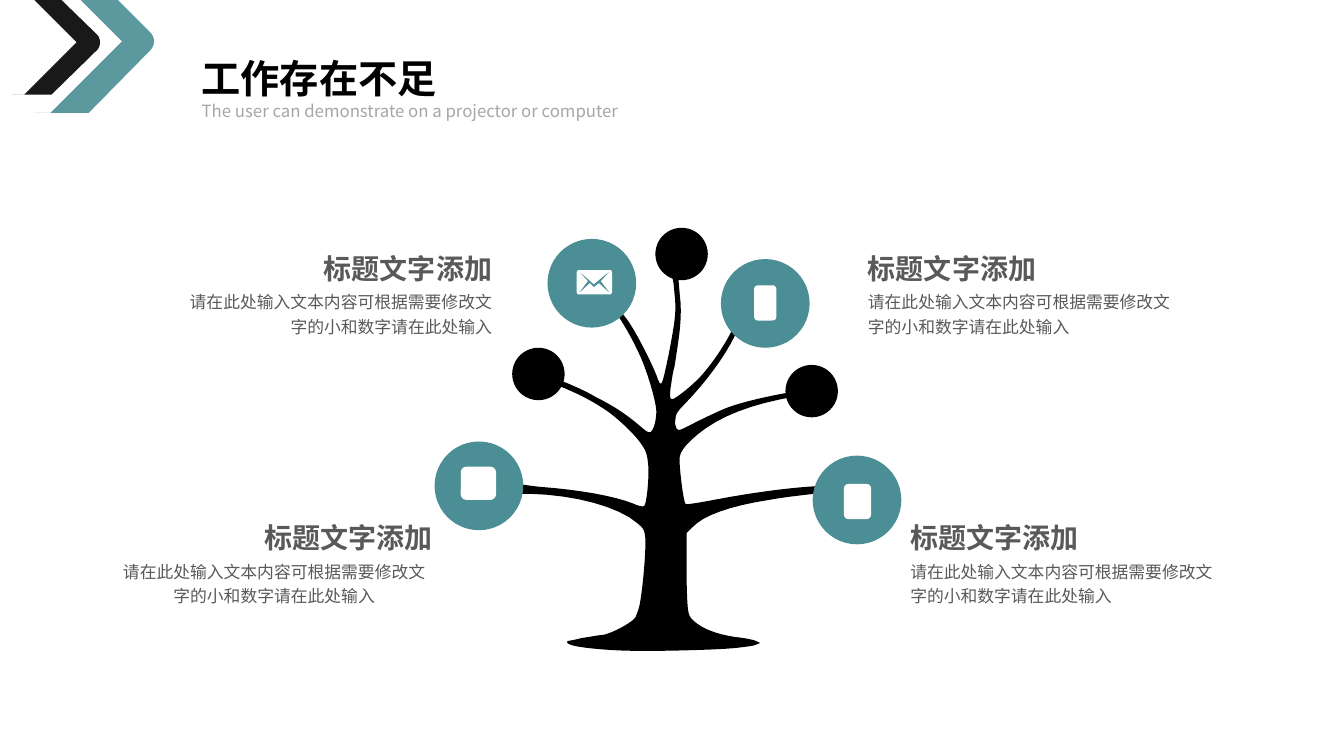
"""Build a slide with a tree diagram and four captions."""
from typing import NamedTuple

from lxml import etree
from pptx import Presentation
from pptx.dml.color import RGBColor
from pptx.enum.shapes import MSO_SHAPE
from pptx.enum.text import MSO_ANCHOR, MSO_AUTO_SIZE, PP_ALIGN
from pptx.oxml.ns import qn
from pptx.util import Inches, Pt

OVAL, ROUNDED = MSO_SHAPE.OVAL, MSO_SHAPE.ROUNDED_RECTANGLE
LEFT, CENTER, RIGHT = PP_ALIGN.LEFT, PP_ALIGN.CENTER, PP_ALIGN.RIGHT
JUSTIFY = PP_ALIGN.JUSTIFY
TOP, FIT_SHAPE = MSO_ANCHOR.TOP, MSO_AUTO_SIZE.SHAPE_TO_FIT_TEXT

FONT = "Noto Sans CJK JP"
TEAL, BLACK, WHITE, GRAY, LIGHT_GRAY = "4B8E95", "000000", "FFFFFF", "595959", "A6A6A6"
CURVE_STEPS = 8
HEADING = "标题文字添加"
BODY = "请在此处输入文本内容可根据需要修改文字的小和数字请在此处输入"
BODY_OFFSET = 0.43


class Box(NamedTuple):
    """Position and size in inches."""
    left: float
    top: float
    width: float
    height: float


class Preset(NamedTuple):
    """A filled preset shape."""
    kind: MSO_SHAPE
    box: Box
    color: str


class Outline(NamedTuple):
    """A filled freeform with one path string per contour."""
    contours: list[str]
    color: str
    opacity: int = 100


class TextStyle(NamedTuple):
    """Font and paragraph settings."""
    size: int
    color: str
    bold: bool = False
    align: PP_ALIGN = LEFT
    spacing: float = 1.0


class Caption(NamedTuple):
    """A heading above a body text."""
    heading_left: float
    body_left: float
    top: float
    heading_align: PP_ALIGN
    body_align: PP_ALIGN


UPPER_LEFT_BRANCHES = """6.64 2.71, 6.67 2.73 6.68 2.78 6.69 2.91, 6.71 3.08 6.7 3.17 6.63 3.53,
6.56 3.86 6.56 3.86 6.51 3.72, 6.44 3.55 6.3 3.28 6.22 3.17, 6.17 3.11 6.13 3.05 6.12 3.02,
6.08 3.07, 6.12 3.1 6.25 3.32 6.32 3.47, 6.41 3.64 6.51 3.99 6.51 4.08,
6.51 4.16 6.49 4.25 6.46 4.28, 6.44 4.3 6.42 4.29 6.34 4.22, 6.21 4.11 6.09 4.03 5.91 3.94,
5.78 3.86 5.51 3.75 5.43 3.73, 5.39 3.72 5.37 3.71 5.36 3.7"""
LOWER_LEFT_BRANCHES = """5.34 3.77,
5.43 3.77 5.79 3.92 5.98 4.05, 6.11 4.13 6.31 4.32 6.37 4.42, 6.41 4.48 6.42 4.51 6.43 4.62,
6.44 4.76 6.41 5.01 6.39 5.02, 6.38 5.03 6.33 5.02 6.29 5, 6.09 4.92 5.75 4.86 5.35 4.83,
5.26 4.82 5.19 4.81 5.14 4.8, 5.14 4.9, 5.26 4.9, 5.7 4.91 6.14 5.03 6.32 5.19"""
TRUNK = """6.38 5.24 6.39 5.25 6.4 5.33, 6.41 5.43 6.38 5.8 6.35 5.97, 6.34 6.04 6.31 6.11 6.3 6.13,
6.26 6.18 6.08 6.28 5.98 6.3, 5.94 6.3 5.85 6.32 5.77 6.33, 5.7 6.35 5.63 6.36 5.63 6.36,
5.59 6.4 5.76 6.43 6.07 6.45, 6.33 6.47 7.08 6.45 7.29 6.43, 7.37 6.42 7.47 6.41 7.49 6.4,
7.54 6.38, 7.5 6.36, 7.48 6.35 7.39 6.33 7.29 6.32, 7.1 6.29 6.97 6.24 6.88 6.16,
6.84 6.12 6.83 6.11 6.82 6.01, 6.81 5.85 6.81 5.73 6.81 5.49, 6.81 5.29, 6.87 5.23"""
LOWER_RIGHT_BRANCHES = """6.97 5.12 7.23 5.02 7.63 4.96, 7.84 4.92 8.33 4.87 8.36 4.88, 8.37 4.89,
8.36 4.78, 8.35 4.81, 8.34 4.81 8.28 4.82 8.22 4.82, 7.97 4.82 7.49 4.88 7.08 4.96,
6.92 4.99 6.8 5.01 6.8 5, 6.78 4.99 6.74 4.66 6.74 4.56, 6.74 4.49 6.78 4.43 6.92 4.31,
7.14 4.13 7.44 4.01 7.91 3.93, 8.09 3.9, 8.06 3.85, 8.04 3.86 7.95 3.88 7.85 3.89"""
UPPER_RIGHT_BRANCHES = """7.62 3.93 7.35 3.99 7.2 4.05, 7.15 4.07 7.02 4.13 6.92 4.18,
6.74 4.27 6.74 4.28 6.71 4.25, 6.7 4.22 6.69 4.2 6.7 4.16, 6.7 4.11 6.72 4.08 6.8 4,
7.01 3.78 7.18 3.55 7.29 3.33, 7.33 3.26, 7.28 3.23, 7.24 3.34 7.1 3.56 6.98 3.7,
6.9 3.8 6.7 3.96 6.67 3.96, 6.65 3.96 6.64 3.95 6.65 3.86, 6.66 3.8 6.67 3.7 6.69 3.64,
6.74 3.32 6.76 3.19 6.75 3, 6.74 2.9 6.73 2.79 6.73 2.76, 6.72 2.71"""
TREE = ",".join([UPPER_LEFT_BRANCHES, LOWER_LEFT_BRANCHES, TRUNK,
                 LOWER_RIGHT_BRANCHES, UPPER_RIGHT_BRANCHES])
ENVELOPE = [
    "5.96 2.79, 6.06 2.68, 6.07 2.7, 6.07 2.9, 6.06 2.92",
    "5.73 2.68, 6.06 2.68, 5.89 2.82",
    "5.73 2.92, 5.72 2.9, 5.72 2.7, 5.73 2.68, 5.83 2.79",
    "5.89 2.85, 5.94 2.81, 6.06 2.92, 5.73 2.92, 5.85 2.81",
]
TEAL_CHEVRON = """0.34 1.12, 0.88 1.12, 1.49 0.5, 1.54 0.45 1.54 0.37 1.49 0.32,
1.17 0, 0.8 0, 1.21 0.41, 0.5 1.12"""
BLACK_CHEVRON = """0.12 0.94, 0.51 0.94, 0.97 0.49, 1 0.45 1 0.39 0.97 0.35,
0.61 0, 0.34 0, 0.76 0.42, 0.24 0.94"""

OUTLINES = [
    Outline([TREE], BLACK),
    Outline([TEAL_CHEVRON], TEAL, 90),
    Outline([BLACK_CHEVRON], BLACK, 90),
]
BUDS = [Preset(OVAL, Box(left, top, 0.52, 0.52), BLACK)
        for left, top in [(6.5, 2.26), (5.08, 3.45), (7.79, 3.62)]]
FRUITS = [Preset(OVAL, Box(left, top, 0.88, 0.88), TEAL)
          for left, top in [(5.43, 2.37), (7.15, 2.57), (4.31, 4.38), (8.06, 4.52)]]
ICONS = [Preset(ROUNDED, box, WHITE) for box in [
    Box(7.48, 2.83, 0.22, 0.35), Box(4.57, 4.63, 0.35, 0.33), Box(8.37, 4.8, 0.27, 0.35)]]
CAPTIONS = [
    Caption(2.74, 1.62, 2.38, RIGHT, RIGHT),
    Caption(8.51, 8.51, 2.38, JUSTIFY, LEFT),
    Caption(2.15, 1.04, 5.05, RIGHT, CENTER),
    Caption(8.93, 8.93, 5.05, JUSTIFY, LEFT),
]


def rgb(color: str) -> RGBColor:
    """Turn a hex string into a colour."""
    return RGBColor.from_string(color)


def apply(target, **values) -> None:
    """Set each named attribute on the target."""
    for name, value in values.items():
        setattr(target, name, value)


def trace(contour: str) -> list[tuple[int, int]]:
    """Turn lines and cubic curves into points on the slide."""
    points = []
    for segment in contour.split(","):
        numbers = [float(number) for number in segment.split()]
        pairs = list(zip(numbers[::2], numbers[1::2]))
        if len(pairs) == 1:
            points += pairs
            continue
        controls = [points[-1], *pairs]
        for step in range(1, CURVE_STEPS + 1):
            t = step / CURVE_STEPS
            weights = ((1 - t) ** 3, 3 * t * (1 - t) ** 2, 3 * t * t * (1 - t), t ** 3)
            points.append(tuple(sum(weight * control[axis] for weight, control
                                    in zip(weights, controls)) for axis in (0, 1)))
    return [(Inches(x), Inches(y)) for x, y in points]


def paint(shape, color: str) -> None:
    """Fill a shape and remove its line and shadow."""
    shape.shadow.inherit = False
    shape.fill.solid()
    shape.fill.fore_color.rgb = rgb(color)
    shape.line.fill.background()


def draw_preset(slide, preset: Preset) -> None:
    """Add a preset shape."""
    paint(slide.shapes.add_shape(preset.kind, *map(Inches, preset.box)), preset.color)


def draw_outline(slide, outline: Outline) -> None:
    """Add a freeform made of closed contours."""
    first, *others = [trace(contour) for contour in outline.contours]
    builder = slide.shapes.build_freeform(*first[0], scale=1.0)
    builder.add_line_segments(first[1:], close=True)
    for points in others:
        builder.move_to(*points[0])
        builder.add_line_segments(points[1:], close=True)
    shape = builder.convert_to_shape()
    paint(shape, outline.color)
    if outline.opacity < 100:
        color = shape.element.spPr.find(qn("a:solidFill"))[0]
        etree.SubElement(color, qn("a:alpha"), val=str(outline.opacity * 1000))


def write(shape, box: Box, text: str, style: TextStyle, wrap: bool = True) -> None:
    """Place a text shape and format its single paragraph."""
    left, top, width, height = map(Inches, box)
    apply(shape, left=left, top=top, width=width, height=height)
    apply(shape.text_frame, word_wrap=wrap, auto_size=FIT_SHAPE, vertical_anchor=TOP)
    paragraph = shape.text_frame.paragraphs[0]
    apply(paragraph, alignment=style.align, line_spacing=style.spacing, space_before=Pt(0))
    run = paragraph.add_run()
    run.text = text
    apply(run.font, name=FONT, size=Pt(style.size), bold=style.bold)
    run.font.color.rgb = rgb(style.color)
    etree.SubElement(run.font._element, qn("a:ea"), typeface=FONT)


def draw_caption(slide, caption: Caption) -> None:
    """Add a heading and the body below it."""
    heading_box = Box(caption.heading_left, caption.top, 2.24, 0.48)
    body_box = Box(caption.body_left, caption.top + BODY_OFFSET, 3.36, 0.59)
    heading_style = TextStyle(20, GRAY, True, caption.heading_align, 1.2)
    body_style = TextStyle(12, GRAY, False, caption.body_align, 1.2)
    for box, text, style in [(heading_box, HEADING, heading_style), (body_box, BODY, body_style)]:
        write(slide.shapes.add_textbox(*map(Inches, box)), box, text, style)


def main() -> None:
    """Build and save the presentation."""
    presentation = Presentation()
    apply(presentation, slide_width=Inches(13.33), slide_height=Inches(7.5))
    slide = presentation.slides.add_slide(presentation.slide_layouts[0])
    write(slide.shapes.title, Box(1.9, 0.49, 2.56, 0.57), "工作存在不足",
          TextStyle(28, BLACK, True), wrap=False)
    write(slide.placeholders[1], Box(1.9, 0.95, 5.54, 0.3),
          "The user can demonstrate on a projector or computer", TextStyle(12, LIGHT_GRAY))
    for outline in OUTLINES:
        draw_outline(slide, outline)
    for preset in BUDS + FRUITS + ICONS:
        draw_preset(slide, preset)
    draw_outline(slide, Outline(ENVELOPE, WHITE))
    for caption in CAPTIONS:
        draw_caption(slide, caption)
    presentation.save("out.pptx")


if __name__ == "__main__":
    main()
